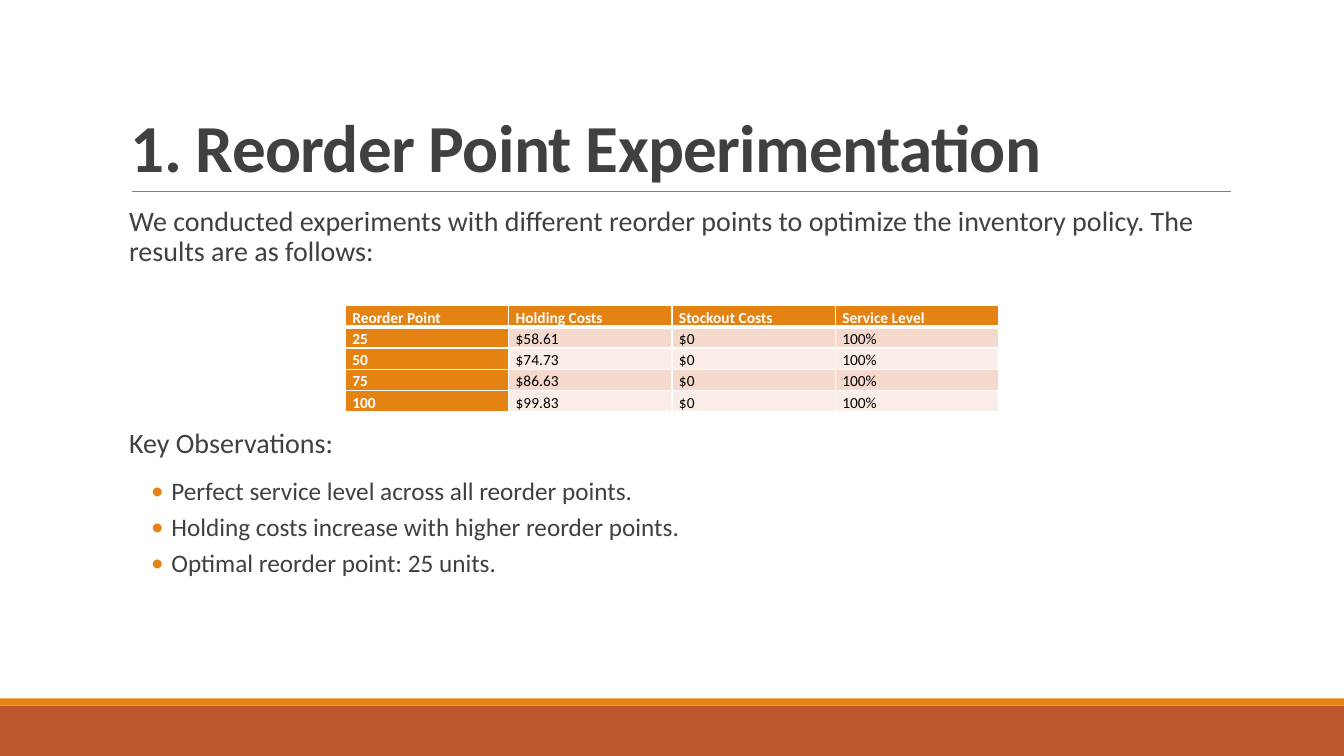
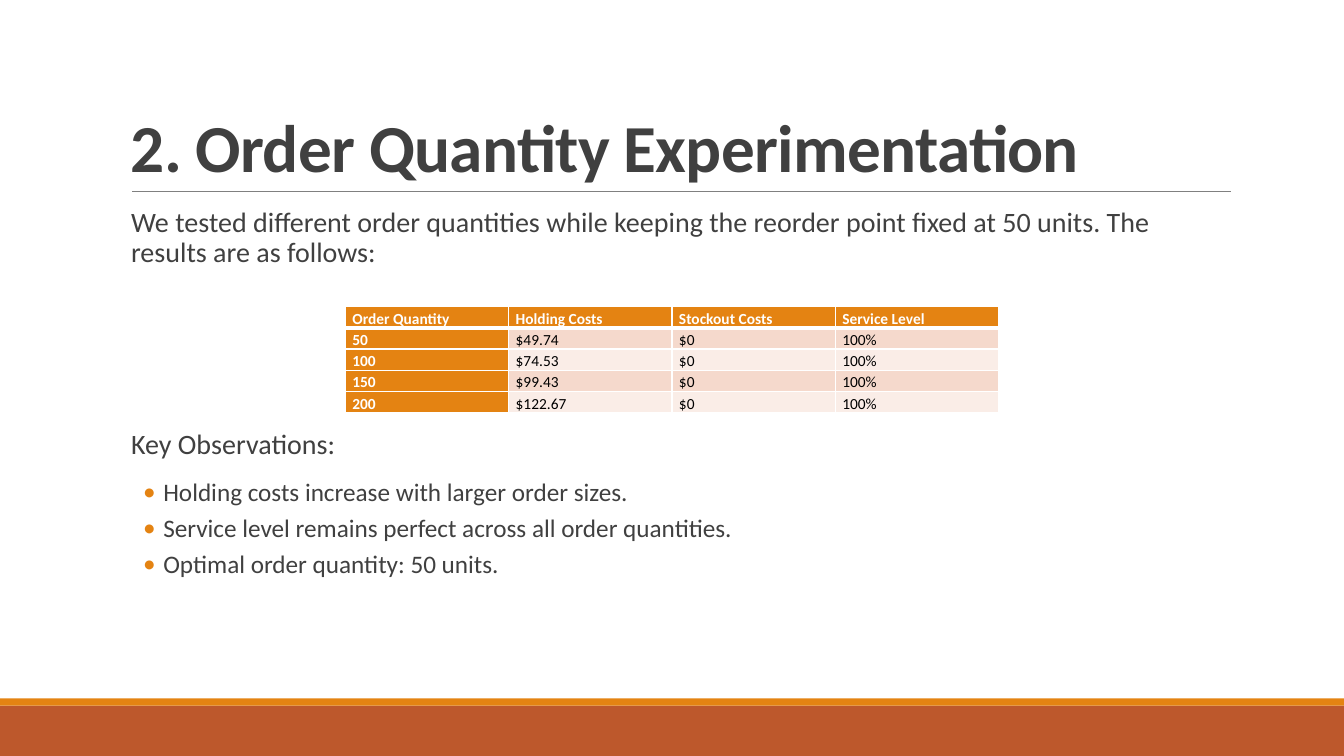
from dataclasses import dataclass

from lxml import etree
from pptx import Presentation
from pptx.dml.color import RGBColor
from pptx.enum.shapes import MSO_CONNECTOR, MSO_SHAPE
from pptx.enum.text import MSO_ANCHOR
from pptx.oxml.ns import qn
from pptx.util import Inches, Pt

RECTANGLE = MSO_SHAPE.RECTANGLE
STRAIGHT = MSO_CONNECTOR.STRAIGHT
TOP, BOTTOM = MSO_ANCHOR.TOP, MSO_ANCHOR.BOTTOM

ORANGE = RGBColor(0xE4, 0x83, 0x12)
RUST = RGBColor(0xBD, 0x58, 0x2C)
DARK_GREY = RGBColor(0x40, 0x40, 0x40)
RULE_GREY = RGBColor(0x80, 0x80, 0x80)
WHITE = RGBColor(0xFF, 0xFF, 0xFF)
BLACK = RGBColor(0, 0, 0)
ROW_TINTS = (RGBColor(0xF5, 0xD9, 0xCC), RGBColor(0xFA, 0xED, 0xE7))

FONT = "Calibri"
SLIDE_W, SLIDE_H = 13.33, 7.5
BAND_H, STRIPE_H = 0.5, 0.07
TITLE_LEFT, TITLE_TOP, TITLE_W = 1.2, 0.31, 11
RULE_LEFT, RULE_RIGHT, RULE_Y = 1.31, 12.21, 1.9
BODY_RIGHT = TITLE_LEFT + TITLE_W
# Distances below the top of the body
TABLE_DROP, FINDINGS_DROP = 1.02, 2.2
INTRO_H, FINDINGS_H = 0.8, 2.2
COLUMN_W, ROW_H = 1.62, 0.2
MEASURES = ("Holding Costs", "Stockout Costs", "Service Level")


@dataclass
class Experiment:
    title: str
    intro: str
    variable: str
    results: tuple
    findings: tuple
    body_left: float
    body_top: float
    indent: float = 0


EXPERIMENTS = (
    Experiment(
        title="1. Reorder Point Experimentation",
        intro="We conducted experiments with different reorder points to "
              "optimize the inventory policy. The results are as follows:",
        variable="Reorder Point",
        results=(("25", "$58.61", "$0", "100%"),
                 ("50", "$74.73", "$0", "100%"),
                 ("75", "$86.63", "$0", "100%"),
                 ("100", "$99.83", "$0", "100%")),
        findings=("Perfect service level across all reorder points.",
                  "Holding costs increase with higher reorder points.",
                  "Optimal reorder point: 25 units."),
        body_left=1.28, body_top=2.01),
    Experiment(
        title="2. Order Quantity Experimentation",
        intro="We tested different order quantities while keeping the reorder "
              "point fixed at 50 units. The results are as follows:",
        variable="Order Quantity",
        results=(("50", "$49.74", "$0", "100%"),
                 ("100", "$74.53", "$0", "100%"),
                 ("150", "$99.43", "$0", "100%"),
                 ("200", "$122.67", "$0", "100%")),
        findings=("Holding costs increase with larger order sizes.",
                  "Service level remains perfect across all order quantities.",
                  "Optimal order quantity: 50 units."),
        body_left=1.2, body_top=2.02, indent=0.1),
)


def add_band(slide, top, height, color):
    band = slide.shapes.add_shape(RECTANGLE, 0, Inches(top),
                                  Inches(SLIDE_W), Inches(height))
    band.shadow.inherit = False
    band.fill.solid()
    band.fill.fore_color.rgb = color
    band.line.fill.background()


def add_title_rule(slide):
    rule = slide.shapes.add_connector(STRAIGHT, Inches(RULE_LEFT), Inches(RULE_Y),
                                      Inches(RULE_RIGHT), Inches(RULE_Y))
    rule.line.color.rgb = RULE_GREY
    rule.line.width = Pt(0.5)
    etree.SubElement(rule._element.spPr, qn("a:effectLst"))


def add_text_frame(slide, left, top, width, height, side_inset=0, anchor=TOP):
    box = slide.shapes.add_textbox(Inches(left), Inches(top),
                                   Inches(width), Inches(height))
    frame = box.text_frame
    frame.word_wrap = True
    frame.vertical_anchor = anchor
    frame.margin_left = frame.margin_right = Inches(side_inset)
    return frame


def write(paragraph, text, size, color=DARK_GREY, bold=False,
          spacing=0.9, before=0, after=0):
    paragraph.line_spacing = spacing
    paragraph.space_before, paragraph.space_after = Pt(before), Pt(after)
    run = paragraph.add_run()
    run.text = text
    font = run.font
    font.name, font.size, font.bold = FONT, Pt(size), bold
    font.color.rgb = color
    return run


def indent(paragraph, left, first=0):
    properties = paragraph._p.get_or_add_pPr()
    properties.set("marL", str(Inches(left)))
    properties.set("indent", str(Inches(first)))
    return properties


def write_body_line(paragraph, text, left):
    write(paragraph, text, 20, before=12, after=12)
    indent(paragraph, left)


def write_bullet(paragraph, text):
    write(paragraph, text, 18, before=2, after=4)
    properties = indent(paragraph, 0.42, -0.2)
    bullet_color = etree.SubElement(properties, qn("a:buClr"))
    etree.SubElement(bullet_color, qn("a:srgbClr"), val=str(ORANGE))
    etree.SubElement(properties, qn("a:buFont"), typeface=FONT)
    etree.SubElement(properties, qn("a:buChar"), char="•")


def set_borders(cell, top, bottom):
    """White borders, 1 pt at the sides; call before the cell is filled."""
    properties = cell._tc.get_or_add_tcPr()
    for side, width in (("L", 1), ("R", 1), ("T", top), ("B", bottom)):
        line = etree.SubElement(properties, qn("a:ln" + side), w=str(Pt(width)))
        fill = etree.SubElement(line, qn("a:solidFill"))
        etree.SubElement(fill, qn("a:srgbClr"), val=str(WHITE))


def fill_cell(cell, text, row, column):
    is_heading = row == 0 or column == 0
    set_borders(cell, top=3 if row == 1 else 1, bottom=3 if row == 0 else 1)
    cell.fill.solid()
    cell.fill.fore_color.rgb = ORANGE if is_heading else ROW_TINTS[(row - 1) % 2]
    cell.margin_left = cell.margin_right = Inches(0.07)
    cell.margin_top = cell.margin_bottom = 0
    write(cell.text_frame.paragraphs[0], text, 11,
          WHITE if is_heading else BLACK, is_heading, spacing=1.15, after=10)


def add_results_table(slide, rows, top):
    width = COLUMN_W * len(rows[0])
    table = slide.shapes.add_table(
        len(rows), len(rows[0]), Inches((SLIDE_W - width) / 2), Inches(top),
        Inches(width), Inches(ROW_H * len(rows))).table
    for column in table.columns:
        column.width = Inches(COLUMN_W)
    for r, values in enumerate(rows):
        table.rows[r].height = Inches(ROW_H)
        for c, value in enumerate(values):
            fill_cell(table.cell(r, c), value, r, c)


def add_frame(slide, title):
    """Bands, title and rule that every slide shares."""
    add_band(slide, SLIDE_H - BAND_H, BAND_H, RUST)
    add_band(slide, SLIDE_H - BAND_H - STRIPE_H, STRIPE_H, ORANGE)
    add_title_rule(slide)
    frame = add_text_frame(slide, TITLE_LEFT, TITLE_TOP, TITLE_W,
                           RULE_Y - TITLE_TOP, side_inset=0.1, anchor=BOTTOM)
    run = write(frame.paragraphs[0], title, 48, bold=True, spacing=0.85)
    run._r.get_or_add_rPr().set("spc", "-50")


def add_experiment(slide, experiment):
    left, top = experiment.body_left, experiment.body_top
    width = BODY_RIGHT - left
    add_frame(slide, experiment.title)
    intro = add_text_frame(slide, left, top, width, INTRO_H)
    write_body_line(intro.paragraphs[0], experiment.intro, experiment.indent)
    findings = add_text_frame(slide, left, top + FINDINGS_DROP, width, FINDINGS_H)
    write_body_line(findings.paragraphs[0], "Key Observations:", experiment.indent)
    for finding in experiment.findings:
        write_bullet(findings.add_paragraph(), finding)
    header = (experiment.variable, *MEASURES)
    add_results_table(slide, (header, *experiment.results), top + TABLE_DROP)


def main():
    deck = Presentation()
    deck.slide_width, deck.slide_height = Inches(SLIDE_W), Inches(SLIDE_H)
    blank = deck.slide_layouts[6]
    for experiment in EXPERIMENTS:
        add_experiment(deck.slides.add_slide(blank), experiment)
    deck.save("out.pptx")


if __name__ == "__main__":
    main()
